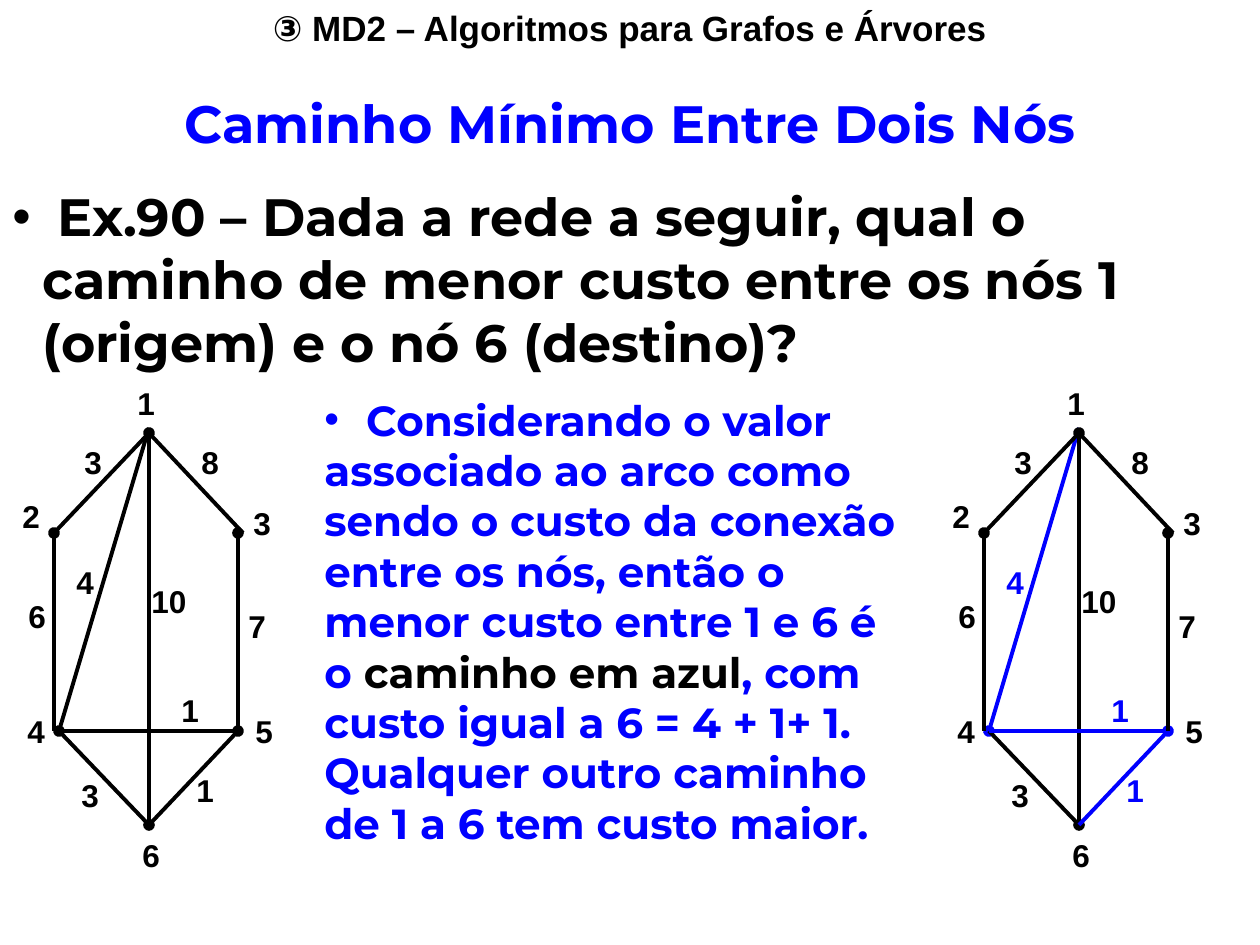
from lxml import etree
from pptx import Presentation
from pptx import util as u
from pptx.dml.color import RGBColor
from pptx.enum import shapes, text
from pptx.oxml import ns

BLACK = RGBColor(0, 0, 0)
BLUE = RGBColor(0, 0, 255)
PX = 914400 / 126
BULLET_INDENT = 30

HEADER_FONT = {"name": "Arial", "size": u.Pt(20), "bold": True}
TITLE_FONT = {"name": "Montserrat", "size": u.Pt(30), "bold": True}
ANSWER_FONT = {"name": "Montserrat", "size": u.Pt(24), "bold": True}
LABEL_FONT = {"name": "Arial", "size": u.Pt(18), "bold": True}

NODES = {
    1: ((139, 55), (115, 0)),
    2: ((44, 155), (0, 113)),
    3: ((228, 155), (231, 120)),
    4: ((49, 353), (5, 328)),
    5: ((228, 353), (233, 328)),
    6: ((139, 447), (120, 452)),
}
EDGES = [
    (1, 4, 4, (54, 179), True),
    (1, 6, 10, (129, 198), True),
    (4, 6, 3, (59, 392), False),
    (6, 5, 1, (174, 387), True),
    (4, 5, 1, (159, 307), False),
    (5, 3, 7, (226, 223), True),
    (3, 1, 8, (179, 59), True),
    (1, 2, 3, (62, 59), True),
    (2, 4, 6, (6, 213), False),
]
ENDPOINTS = {
    (1, 4): ((139, 50), (49, 353)),
    (3, 1): ((233, 155), (139, 55)),
    (2, 4): ((44, 155), (44, 353)),
}
SHORTEST_PATH = {(1, 4), (4, 5), (6, 5)}


def px(*lengths):
    return [u.Emu(round(length * PX)) for length in lengths]


def apply(target, values):
    for name, value in values.items():
        setattr(target, name, value)


def add_child(parent, tag, **attributes):
    return etree.SubElement(parent, ns.qn(tag), attributes)


def add_bullet(paragraph, color):
    indent, = px(BULLET_INDENT)
    properties = paragraph._p.get_or_add_pPr()
    properties.set("marL", str(indent))
    properties.set("indent", str(-indent))
    add_child(add_child(properties, "a:buClr"), "a:srgbClr", val=str(color))
    add_child(properties, "a:buFont", typeface="Arial")
    add_child(properties, "a:buChar", char="•")


def add_frame(parent, box, wrap=True):
    frame = parent.shapes.add_textbox(*px(*box)).text_frame
    apply(frame, {"word_wrap": wrap,
                  "auto_size": text.MSO_AUTO_SIZE.SHAPE_TO_FIT_TEXT})
    return frame


def add_runs(paragraph, font, *pieces):
    for wording, color in pieces:
        run = paragraph.add_run()
        run.text = wording
        apply(run.font, font)
        run.font.color.rgb = color


def add_header(slide, box):
    heading = add_frame(slide, box).paragraphs[0]
    heading.alignment = text.PP_ALIGN.CENTER
    add_runs(heading, HEADER_FONT,
             ("③ MD2 – Algoritmos para Grafos e Árvores", BLACK))


def add_question(slide, box):
    frame = add_frame(slide, box)
    title = frame.paragraphs[0]
    apply(title, {"alignment": text.PP_ALIGN.CENTER, "line_spacing": 0.9})
    add_runs(title, TITLE_FONT, ("Caminho Mínimo Entre Dois Nós", BLUE))
    exercise = frame.add_paragraph()
    add_bullet(exercise, BLACK)
    exercise.space_before = u.Pt(16.9)
    add_runs(exercise, TITLE_FONT,
             (" Ex.90 – Dada a rede a seguir, qual o caminho de menor custo "
              "entre os nós 1 (origem) e o nó 6 (destino)?", BLACK))


def add_answer(slide, box):
    frame = add_frame(slide, box)
    opening = frame.paragraphs[0]
    add_bullet(opening, BLUE)
    add_runs(opening, ANSWER_FONT, (" Considerando o valor", BLUE))
    add_runs(frame.add_paragraph(), ANSWER_FONT,
             ("associado ao arco como sendo o custo da conexão entre os nós, "
              "então o menor custo entre 1 e 6 é o ", BLUE),
             ("caminho em azul", BLACK),
             (", com custo igual a 6 = 4 + 1+ 1. Qualquer outro caminho "
              "de 1 a 6 tem custo maior.", BLUE))


def add_edge(group, start, end, color, dotted):
    edge = group.shapes.add_connector(shapes.MSO_CONNECTOR.STRAIGHT,
                                      *px(*start, *end))
    edge.line.width = u.Pt(2.25)
    edge.line.color.rgb = color
    if dotted:
        add_child(edge.line._get_or_add_ln(), "a:tailEnd", type="oval")
    add_child(edge._element.spPr, "a:effectLst")


def add_label(group, origin, value, color):
    width = 60 if value > 9 else 43
    frame = add_frame(group, (*origin, width, 50), wrap=False)
    add_runs(frame.paragraphs[0], LABEL_FONT, (str(value), color))


def add_graph(slide, left, top, highlighted=frozenset()):
    group = slide.shapes.add_group_shape()

    def place(point):
        return left + point[0], top + point[1]

    def edge_color(pair):
        return BLUE if pair in highlighted else BLACK

    for source, target, _, _, dotted in EDGES:
        pair = source, target
        start, end = ENDPOINTS.get(pair, (NODES[source][0], NODES[target][0]))
        add_edge(group, place(start), place(end), edge_color(pair), dotted)
    for node, (_, origin) in NODES.items():
        add_label(group, place(origin), node, BLACK)
    for source, target, cost, origin, _ in EDGES:
        add_label(group, place(origin), cost, edge_color((source, target)))


def main():
    deck = Presentation()
    apply(deck, dict(zip(("slide_width", "slide_height"), px(1260, 945))))
    slide = deck.slides.add_slide(deck.slide_layouts[6])
    add_header(slide, (0, 0, 1260, 55))
    add_question(slide, (0, 92, 1260, 289))
    add_graph(slide, 10, 378)
    add_answer(slide, (312, 388, 615, 466))
    add_graph(slide, 940, 378, SHORTEST_PATH)
    deck.save("out.pptx")


if __name__ == "__main__":
    main()
